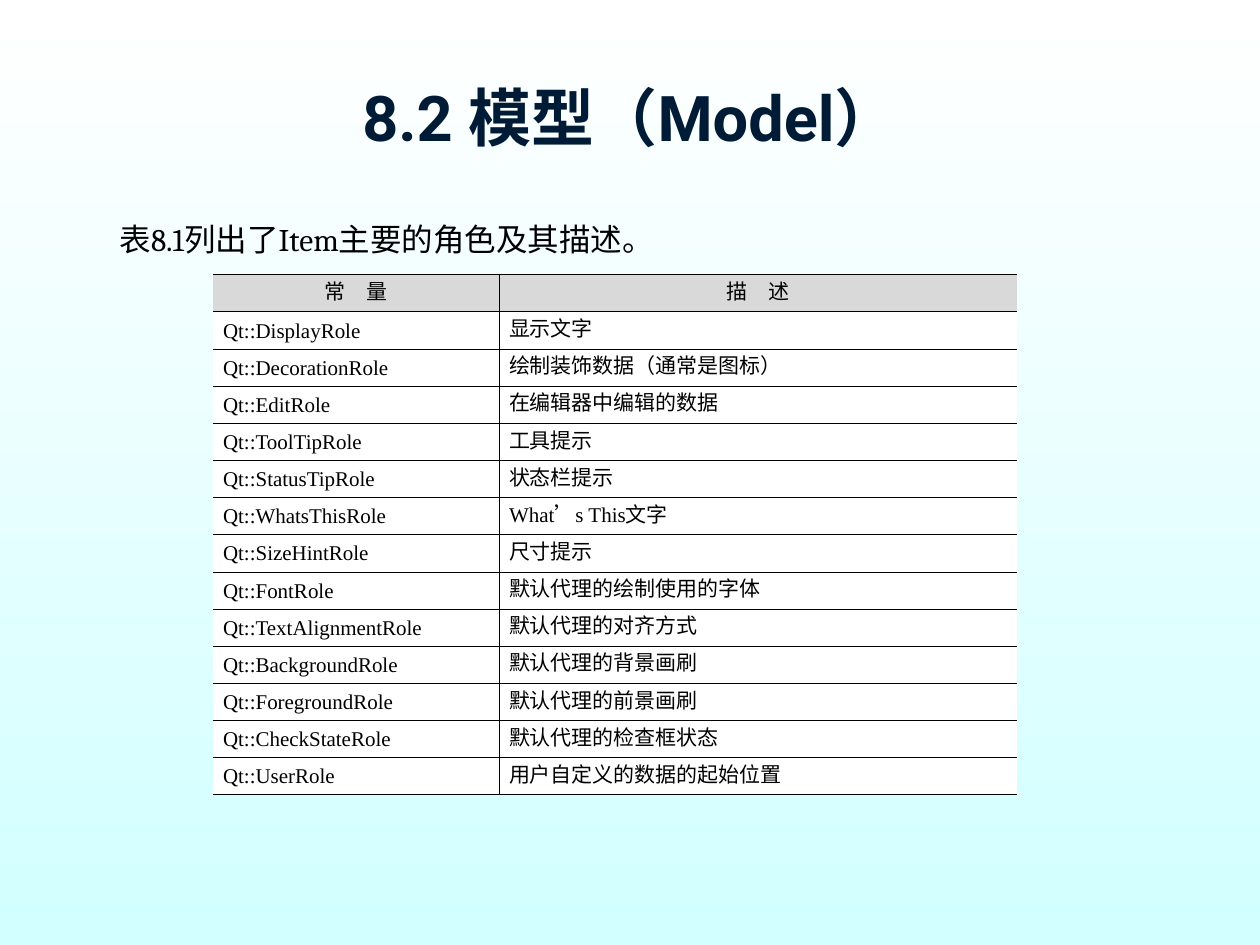
from typing import NamedTuple

from lxml import etree
from pptx import Presentation
from pptx.dml.color import RGBColor
from pptx.enum.text import MSO_ANCHOR, MSO_AUTO_SIZE, PP_ALIGN
from pptx.oxml.ns import qn
from pptx.util import Inches, Pt

CENTER, JUSTIFY = PP_ALIGN.CENTER, PP_ALIGN.JUSTIFY
MIDDLE = MSO_ANCHOR.MIDDLE
NO_AUTOFIT, GROW = MSO_AUTO_SIZE.NONE, MSO_AUTO_SIZE.SHAPE_TO_FIT_TEXT

COLORS = {
    "sky_top": "FFFFFF",
    "sky_bottom": "D2FFFF",
    "title": "001B36",
    "ink": "000000",
    "header": "D9D9D9",
    "body": "FFFFFF",
}
TITLE_FONT = {"name": "Roboto", "size": Pt(36), "bold": True}
INTRO_FONT = {"name": "Cambria", "size": Pt(18)}
CELL_FONT = {"name": "Times New Roman", "size": Pt(12)}
CELL_FORMAT = {
    "vertical_anchor": MIDDLE,
    "margin_left": Inches(0.08),
    "margin_right": Inches(0.08),
    "margin_top": Inches(0.05),
    "margin_bottom": Inches(0.05),
}
COLUMN_WIDTHS = (2.27, 4.11)
COLUMN_BORDERS = ("RTB", "LTB")
ROW_HEIGHT = 0.29
BORDER_WIDTH = Pt(0.45)


class Role(NamedTuple):
    constant: str
    description: str


HEADER = Role("常　量", "描　述")
ROLES = [
    Role("Qt::DisplayRole", "显示文字"),
    Role("Qt::DecorationRole", "绘制装饰数据（通常是图标）"),
    Role("Qt::EditRole", "在编辑器中编辑的数据"),
    Role("Qt::ToolTipRole", "工具提示"),
    Role("Qt::StatusTipRole", "状态栏提示"),
    Role("Qt::WhatsThisRole", "What’s This文字"),
    Role("Qt::SizeHintRole", "尺寸提示"),
    Role("Qt::FontRole", "默认代理的绘制使用的字体"),
    Role("Qt::TextAlignmentRole", "默认代理的对齐方式"),
    Role("Qt::BackgroundRole", "默认代理的背景画刷"),
    Role("Qt::ForegroundRole", "默认代理的前景画刷"),
    Role("Qt::CheckStateRole", "默认代理的检查框状态"),
    Role("Qt::UserRole", "用户自定义的数据的起始位置"),
]


def set_attributes(target, values: dict) -> None:
    for name, value in values.items():
        setattr(target, name, value)


def place(shape, left: float, top: float, width: float, height: float) -> None:
    set_attributes(shape, {
        "left": Inches(left), "top": Inches(top),
        "width": Inches(width), "height": Inches(height),
    })


def write(frame, text: str, font: dict, color: str, **paragraph_format) -> None:
    paragraph = frame.paragraphs[0]
    set_attributes(paragraph, paragraph_format)
    run = paragraph.add_run()
    run.text = text
    set_attributes(run.font, font)
    run.font.color.rgb = RGBColor.from_string(COLORS[color])


def set_borders(cell, drawn_sides: str) -> None:
    """Draw the named sides (L, R, T, B) and clear the others."""
    properties = cell._tc.get_or_add_tcPr()
    for index, side in enumerate("LRTB"):
        line = etree.Element(qn(f"a:ln{side}"), w=str(int(BORDER_WIDTH)))
        if side in drawn_sides:
            fill = etree.SubElement(line, qn("a:solidFill"))
            etree.SubElement(fill, qn("a:srgbClr"), val=COLORS["ink"])
        else:
            etree.SubElement(line, qn("a:noFill"))
        properties.insert(index, line)


def paint_background(slide) -> None:
    fill = slide.background.fill
    fill.gradient()
    fill.gradient_angle = 270
    for stop, position, color in zip(fill.gradient_stops, (0, 1), ("sky_top", "sky_bottom")):
        stop.position = position
        stop.color.rgb = RGBColor.from_string(COLORS[color])


def add_role_table(slide, left: float, top: float) -> None:
    rows = [HEADER, *ROLES]
    table = slide.shapes.add_table(
        len(rows), len(COLUMN_WIDTHS), Inches(left), Inches(top),
        Inches(sum(COLUMN_WIDTHS)), Inches(ROW_HEIGHT * len(rows)),
    ).table
    set_attributes(table, {"first_row": False, "horz_banding": False})
    for column, width in zip(table.columns, COLUMN_WIDTHS):
        column.width = Inches(width)
    for table_row, role in zip(table.rows, rows):
        table_row.height = Inches(ROW_HEIGHT)
        is_header = role is HEADER
        for cell, text, borders in zip(table_row.cells, role, COLUMN_BORDERS):
            set_attributes(cell, CELL_FORMAT)
            cell.fill.solid()
            cell.fill.fore_color.rgb = RGBColor.from_string(
                COLORS["header" if is_header else "body"])
            set_borders(cell, borders)
            write(cell.text_frame, text, CELL_FONT, "ink", line_spacing=Pt(14),
                  alignment=CENTER if is_header else JUSTIFY)


def main() -> None:
    deck = Presentation()
    deck.slide_width, deck.slide_height = Inches(10), Inches(7.5)
    slide = deck.slides.add_slide(deck.slide_layouts[5])
    paint_background(slide)

    title = slide.shapes.title
    place(title, 0.5, 0.3, 9, 1.25)
    set_attributes(title.text_frame, {"vertical_anchor": MIDDLE, "auto_size": NO_AUTOFIT})
    write(title.text_frame, "8.2 模型（Model）", TITLE_FONT, "title", alignment=CENTER)

    intro = slide.shapes.add_textbox(Inches(0.85), Inches(1.7), Inches(4.68), Inches(0.4))
    set_attributes(intro.text_frame, {"word_wrap": False, "auto_size": GROW})
    write(intro.text_frame, "表8.1列出了Item主要的角色及其描述。", INTRO_FONT, "ink")

    add_role_table(slide, 1.69, 2.18)
    deck.save("out.pptx")


if __name__ == "__main__":
    main()
